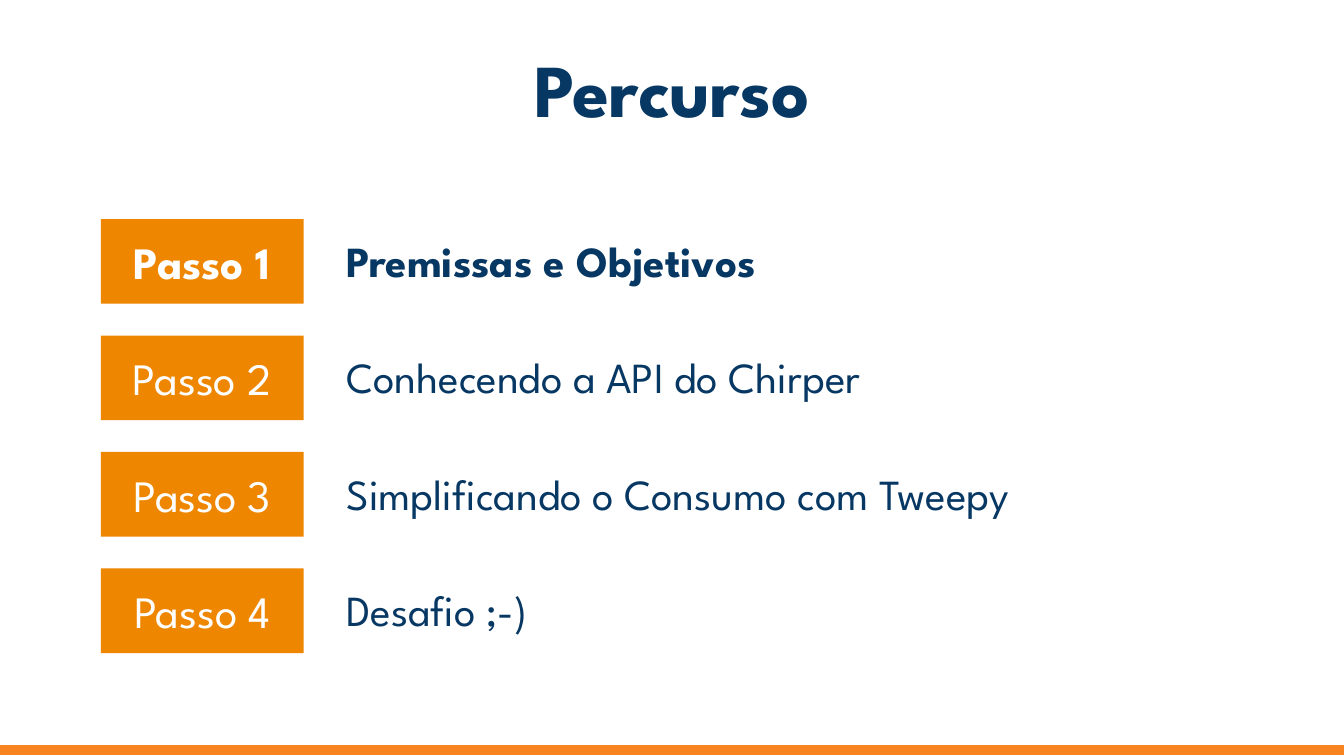
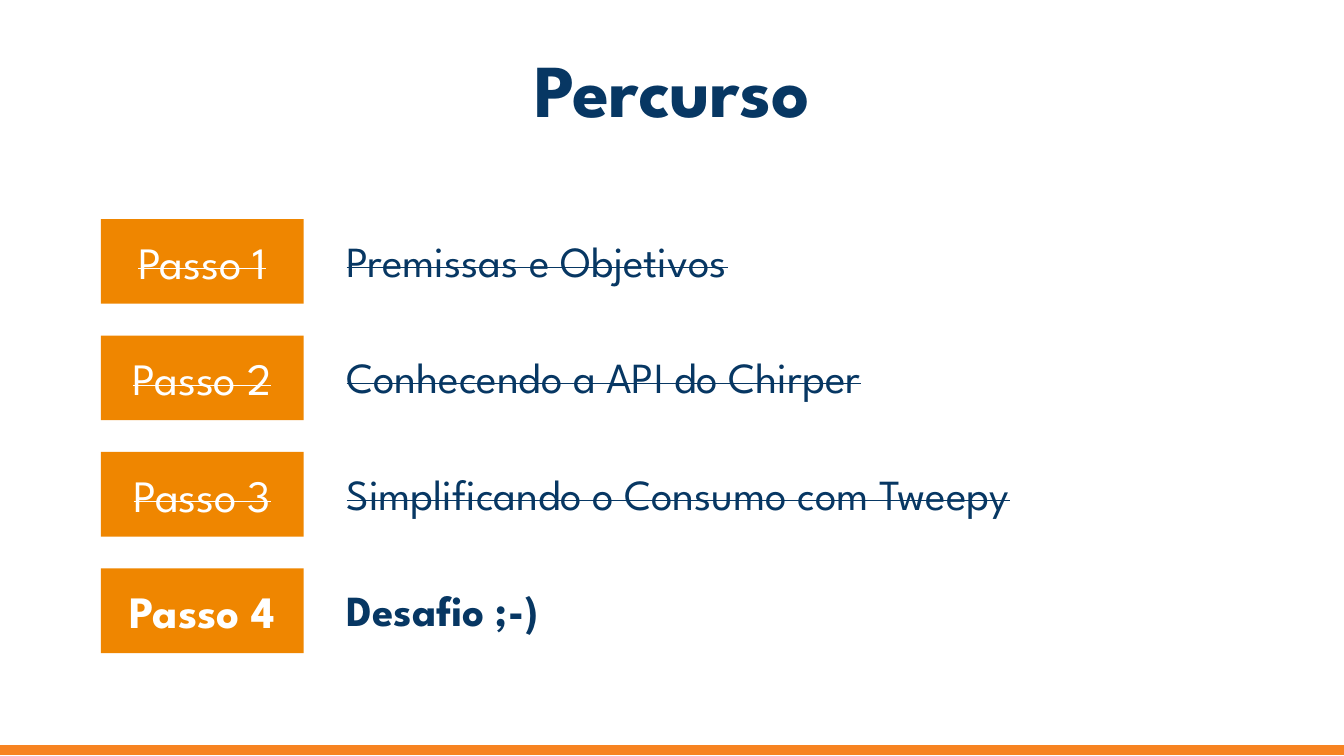
"""Build the two course-outline slides: the first step ahead, then the last one."""
from pptx import Presentation
from pptx.dml.color import RGBColor
from pptx.enum.shapes import MSO_SHAPE
from pptx.enum.text import MSO_ANCHOR, MSO_AUTO_SIZE, PP_ALIGN
from pptx.util import Inches, Pt

TITLE = "Percurso"
STEPS = [
    "Premissas e Objetivos",
    "Conhecendo a API do Chirper",
    "Simplificando o Consumo com Tweepy",
    "Desafio ;-)",
]
CURRENT_STEPS = [1, 4]

COLORS = {"navy": "073763", "orange": "EF8600", "band": "F78321", "white": "FFFFFF"}
FONT = "League Spartan"
TITLE_BOX = (0.34, 0.33, 9.32, 0.65)
BAND_BOX = (0, 5.55, 10, 0.06)
LABEL_LEFT, LABEL_W, LABEL_H = 0.75, 1.51, 0.63
TEXT_LEFT, TEXT_W, TEXT_H = 2.48, 7.18, 0.5
FIRST_TOP, LAST_TOP = 1.63, 4.23
PITCH = (LAST_TOP - FIRST_TOP) / (len(STEPS) - 1)
HANGING = 0.5

TITLE_FONT = {"size": Pt(40), "bold": True}
LABEL_FONT = {"size": Pt(24)}
TEXT_FONT = {"size": Pt(23)}


def rgb(name):
    return RGBColor.from_string(COLORS[name])


def box(values):
    return [Inches(v) for v in values]


def write(sp, text, color, font, align, anchor, inset, struck=False):
    tf = sp.text_frame
    frame = {
        "word_wrap": True, "auto_size": MSO_AUTO_SIZE.NONE, "vertical_anchor": anchor,
        "margin_left": Inches(0.1), "margin_right": Inches(0.1),
        "margin_top": Inches(inset), "margin_bottom": Inches(inset),
    }
    for key, value in frame.items():
        setattr(tf, key, value)
    p = tf.paragraphs[0]
    p.alignment = align
    r = p.add_run()
    r.text = text
    for key, value in {"name": FONT, **font}.items():
        setattr(r.font, key, value)
    r.font.color.rgb = rgb(color)
    if struck:
        r._r.get_or_add_rPr().set("strike", "sngStrike")
    return p


def add_rect(s, place, color, outlined=False):
    sp = s.shapes.add_shape(MSO_SHAPE.RECTANGLE, *box(place))
    sp.shadow.inherit = False
    sp.fill.solid()
    sp.fill.fore_color.rgb = rgb(color)
    if outlined:
        sp.line.color.rgb = rgb(color)
        sp.line.width = Pt(0.75)
    else:
        sp.line.fill.background()
    return sp


def add_title(s):
    sp = s.shapes.title
    sp.left, sp.top, sp.width, sp.height = box(TITLE_BOX)
    write(sp, TITLE, "navy", TITLE_FONT, PP_ALIGN.CENTER, MSO_ANCHOR.MIDDLE, 0.1)


def add_step(s, number, text, current):
    top = FIRST_TOP + (number - 1) * PITCH
    state = {"bold": number == current}
    struck = number < current
    label = add_rect(s, (LABEL_LEFT, top, LABEL_W, LABEL_H), "orange")
    write(label, f"Passo {number}", "white", {**LABEL_FONT, **state},
          PP_ALIGN.CENTER, MSO_ANCHOR.MIDDLE, 0.1, struck)
    text_top = top + (LABEL_H - TEXT_H) / 2
    tb = s.shapes.add_textbox(*box((TEXT_LEFT, text_top, TEXT_W, TEXT_H)))
    p = write(tb, text, "navy", {**TEXT_FONT, **state},
              PP_ALIGN.LEFT, MSO_ANCHOR.TOP, 0.05, struck)
    pPr = p._p.get_or_add_pPr()
    pPr.set("marL", str(Inches(HANGING)))
    pPr.set("indent", str(-Inches(HANGING)))


def main():
    prs = Presentation()
    prs.slide_width = Inches(10)
    prs.slide_height = prs.slide_width * 9 // 16
    for current in CURRENT_STEPS:
        s = prs.slides.add_slide(prs.slide_layouts[5])
        add_title(s)
        add_rect(s, BAND_BOX, "band", outlined=True)
        for number, text in enumerate(STEPS, 1):
            add_step(s, number, text, current)
    prs.save("out.pptx")


if __name__ == "__main__":
    main()
